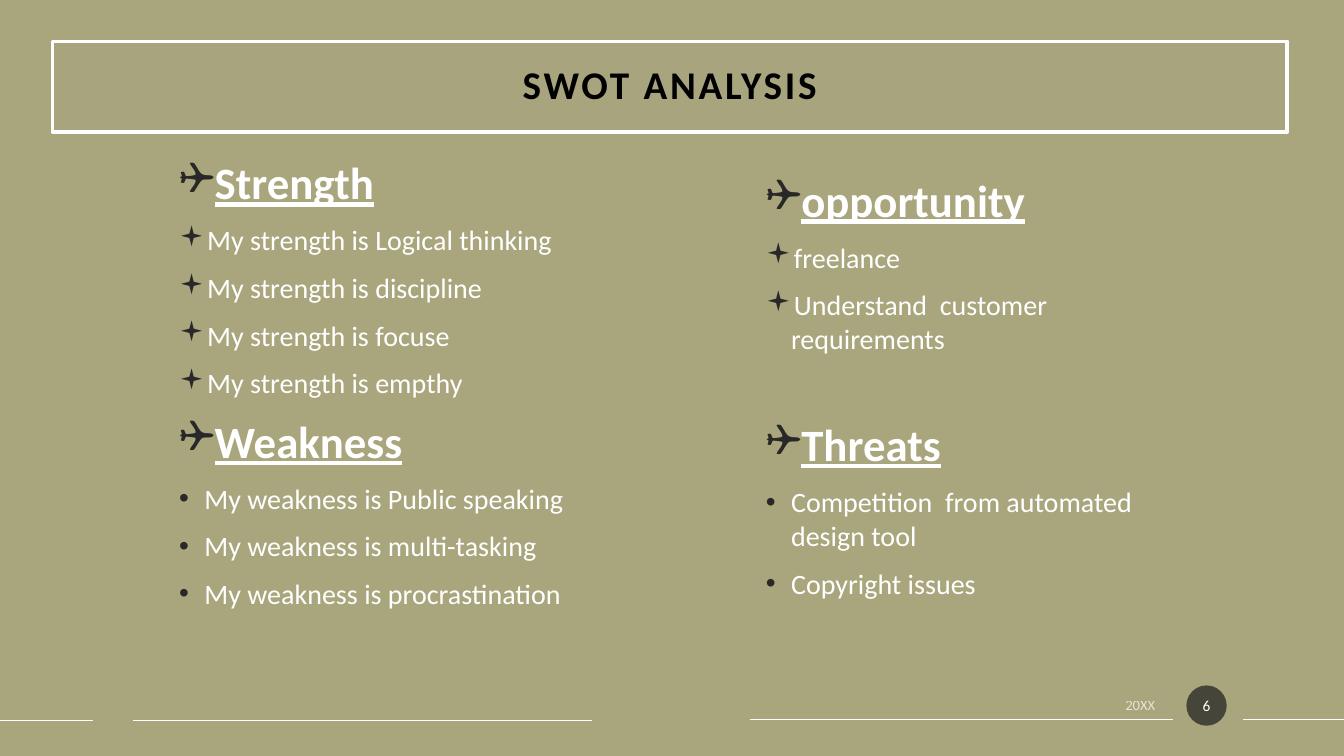
from lxml.etree import SubElement
from pptx import Presentation
from pptx.dml.color import RGBColor
from pptx.enum.shapes import MSO_CONNECTOR, MSO_SHAPE
from pptx.enum.text import MSO_ANCHOR, MSO_AUTO_SIZE, PP_ALIGN
from pptx.oxml.ns import qn
from pptx.util import Pt

COLORS = {"background": "A9A57C", "title_fill": "A7A08E", "white": "FFFFFF",
          "black": "000000", "bullet": "282828", "badge": "1D1D1D"}
HEADING = {"size": Pt(32), "bold": True, "underline": True}
ITEM = {"size": Pt(20), "bold": False, "underline": False}
TITLE = {"size": Pt(28), "bold": True}
DATE = {"size": Pt(10.5)}
NUMBER = {"size": Pt(11)}
MARGINS = ("margin_left", "margin_top", "margin_right", "margin_bottom")
INDENT = Pt(18)
GAP = Pt(10)
BLOCK_GAP = Pt(44.4)

# Each block: heading, item bullet, items, space before the heading
LEFT = [
    ("Strength", "▪", ["My strength is Logical thinking", "My strength is discipline",
                       "My strength is focuse", "My strength is empthy"], GAP),
    ("Weakness", "•", ["My weakness is Public speaking", "My weakness is multi-tasking",
                       "My weakness is procrastination"], GAP),
]
RIGHT = [
    ("opportunity", "▪", ["freelance", "Understand  customer requirements"], GAP),
    ("Threats", "•", ["Competition  from automated design tool", "Copyright issues"],
     BLOCK_GAP),
]


def rgb(name):
    return RGBColor.from_string(COLORS[name])


def set_alpha(fill, percent):
    color = fill._xPr.find(qn("a:solidFill"))[0]
    SubElement(color, qn("a:alpha"), val=str(percent * 1000))


def fill_solid(fill, color, alpha=100):
    fill.solid()
    fill.fore_color.rgb = rgb(color)
    if alpha < 100:
        set_alpha(fill, alpha)


def set_frame(tf, anchor, margins=(7.2, 3.6, 7.2, 3.6)):
    tf.word_wrap = True
    tf.auto_size = MSO_AUTO_SIZE.NONE
    tf.vertical_anchor = anchor
    for side, margin in zip(MARGINS, margins):
        setattr(tf, side, Pt(margin))


def add_text(p, text, style, color="white", align=PP_ALIGN.LEFT, alpha=100):
    p.alignment = align
    r = p.add_run()
    r.text = text
    r.font.name = "Calibri"
    for name, value in style.items():
        setattr(r.font, name, value)
    fill_solid(r.font.fill, color, alpha)
    return r


def add_bullet(p, char):
    pPr = p._p.get_or_add_pPr()
    pPr.set("marL", str(INDENT))
    pPr.set("indent", str(-INDENT))
    SubElement(SubElement(pPr, qn("a:buClr")), qn("a:srgbClr"), val=COLORS["bullet"])
    SubElement(pPr, qn("a:buFont"), typeface="Arial" if char == "•" else "Wingdings")
    SubElement(pPr, qn("a:buChar"), char=char)


def add_title(s, left, top, width, height):
    sp = s.shapes.title
    sp.left, sp.top, sp.width, sp.height = map(Pt, (left, top, width, height))
    fill_solid(sp.fill, "title_fill", 15)
    sp.line.color.rgb = rgb("white")
    sp.line.width = Pt(2.5)
    set_frame(sp.text_frame, MSO_ANCHOR.MIDDLE, [14.4] * 4)
    p = sp.text_frame.paragraphs[0]
    p.line_spacing = 0.9
    r = add_text(p, "SWOT ANALYSIS", TITLE, "black", PP_ALIGN.CENTER)
    r._r.get_or_add_rPr().set("spc", "200")


def add_column(s, blocks, left, top, width, height):
    tf = s.shapes.add_textbox(*map(Pt, (left, top, width, height))).text_frame
    set_frame(tf, MSO_ANCHOR.TOP)
    rows = []
    for heading, bullet, items, gap in blocks:
        rows.append((heading, "❑", HEADING, gap))
        rows += [(item, bullet, ITEM, GAP) for item in items]
    for i, (text, bullet, style, gap) in enumerate(rows):
        p = tf.add_paragraph() if i else tf.paragraphs[0]
        p.space_before = gap
        add_bullet(p, bullet)
        add_text(p, text, style)


def add_rule(s, start, end, y):
    line = s.shapes.add_connector(MSO_CONNECTOR.STRAIGHT, Pt(start), Pt(y), Pt(end), Pt(y))
    line.line.color.rgb = rgb("white")
    line.line.width = Pt(1)
    SubElement(line._element.spPr, qn("a:effectLst"))


def add_footer(s, left, top, width, height):
    """Place the rules, date and page badge in the band along the bottom."""
    for start, end, y in ((0, 66.24, 25.2), (95.04, 422.64, 25.2),
                          (535.68, 838.08, 24.48), (887.76, width, 24.48)):
        add_rule(s, left + start, left + end, top + y)
    date = s.shapes.add_textbox(Pt(left + 615.6), Pt(top + 1.44), Pt(216.72), Pt(25.2))
    set_frame(date.text_frame, MSO_ANCHOR.MIDDLE)
    add_text(date.text_frame.paragraphs[0], "20XX", DATE, align=PP_ALIGN.RIGHT, alpha=70)

    badge = s.shapes.add_shape(MSO_SHAPE.OVAL, Pt(left + 847.44), Pt(top),
                               Pt(height), Pt(height))
    badge.shadow.inherit = False
    fill_solid(badge.fill, "badge", 70)
    badge.line.fill.background()
    set_frame(badge.text_frame, MSO_ANCHOR.MIDDLE, (1.44, 3.6, 1.44, 3.6))
    add_text(badge.text_frame.paragraphs[0], "6", NUMBER, align=PP_ALIGN.CENTER)


def add_swot_slide(prs):
    s = prs.slides.add_slide(prs.slide_layouts[5])
    fill_solid(s.background.fill, "background")
    add_title(s, 37.44, 29.52, 882, 64.8)
    add_column(s, LEFT, 120.96, 107.28, 321.12, 383.76)
    add_column(s, RIGHT, 540, 119.52, 321.12, 383.76)
    add_footer(s, 0, 489.6, 960, 28.8)


def main():
    prs = Presentation()
    prs.slide_width, prs.slide_height = Pt(960), Pt(540)
    add_swot_slide(prs)
    prs.save("out.pptx")


if __name__ == "__main__":
    main()
